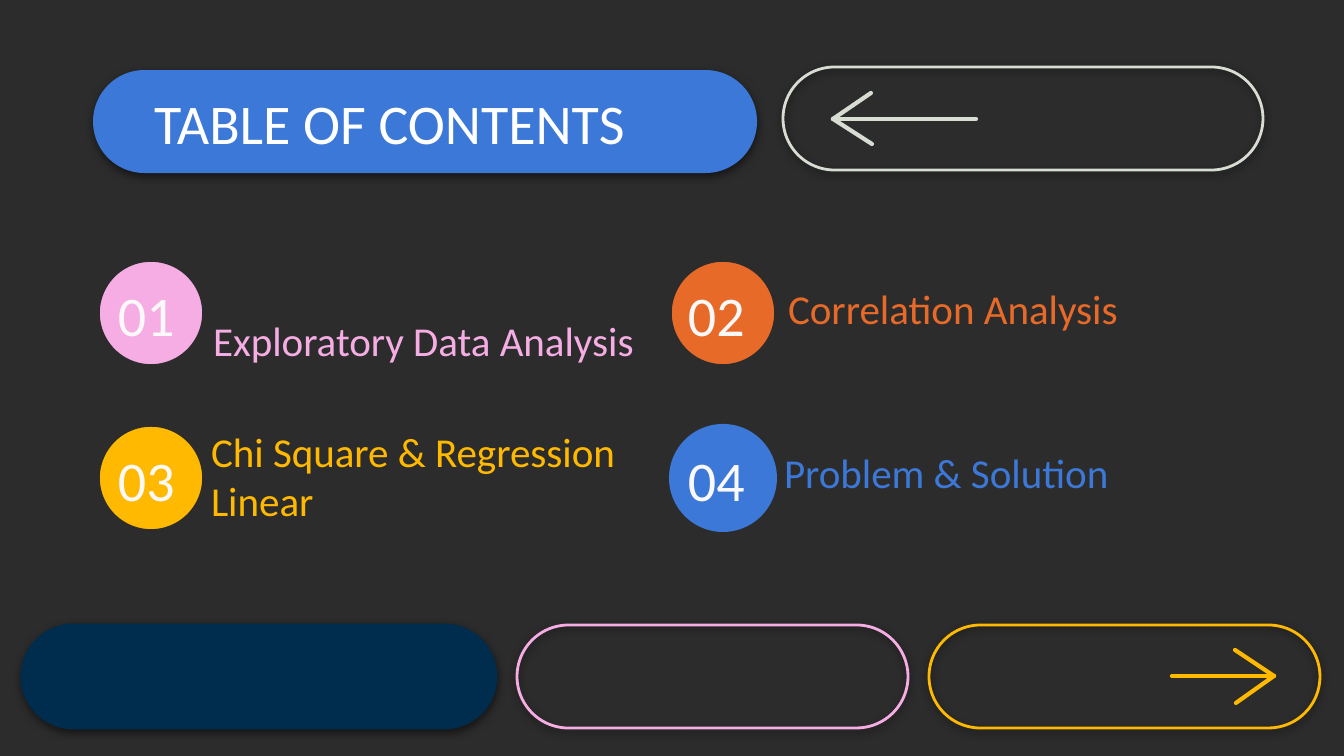
"""Build a dark table of contents slide with numbered topics and pill shapes."""
from dataclasses import dataclass
from typing import Optional

import lxml.etree
import pptx
import pptx.dml.color
import pptx.enum.shapes
import pptx.enum.text
import pptx.oxml.ns
import pptx.util

RGB = pptx.dml.color.RGBColor
SHAPE = pptx.enum.shapes.MSO_SHAPE
ANCHOR = pptx.enum.text.MSO_ANCHOR
qn = pptx.oxml.ns.qn

CHARCOAL = RGB(0x2C, 0x2C, 0x2C)
WHITE = RGB(0xFF, 0xFF, 0xFF)
OFF_WHITE = RGB(0xFA, 0xF8, 0xF8)
BLUE = RGB(0x3C, 0x78, 0xD8)
NAVY = RGB(0x00, 0x2C, 0x4D)
ORANGE = RGB(0xE7, 0x6A, 0x28)
YELLOW = RGB(0xFF, 0xB9, 0x00)
PINK = RGB(0xF5, 0xAD, 0xE4)
SAGE = RGB(0xD7, 0xDD, 0xD2)

EMU_PER_PX = 914400 / 134.4
FONT = "Calibri"
PILL_HEIGHT = 103
CIRCLE_SIZE = 108
COLUMNS = (97, 669)
ROWS = (259, 424)


@dataclass(frozen=True)
class Pill:
    left: int
    top: int
    width: int
    fill: Optional[RGB] = None
    line: Optional[RGB] = None


@dataclass(frozen=True)
class Arrow:
    tail: tuple[int, int]
    tip: tuple[int, int]
    barbs: tuple[tuple[int, int], ...]
    color: RGB


@dataclass(frozen=True)
class Topic:
    text: str
    color: RGB
    left: int
    top: int
    outlined: bool = True


FOOTER_PILLS = (
    Pill(517, 625, 391, line=PINK),
    Pill(929, 625, 391, line=YELLOW),
    Pill(22, 625, 474, fill=NAVY, line=NAVY),
)
TITLE_PILL = Pill(93, 70, 664, fill=BLUE)
BACK_PILL = Pill(783, 67, 480, line=SAGE)
NEXT_ARROW = Arrow((1172, 676), (1274, 676), ((1235, 650), (1236, 703)), YELLOW)
BACK_ARROW = Arrow((976, 119), (833, 119), ((872, 144), (871, 93)), SAGE)
TOPICS = (
    Topic("Exploratory Data Analysis", PINK, 200, 320),
    Topic("Correlation Analysis", ORANGE, 775, 288),
    Topic("Chi Square & Regression Linear", YELLOW, 198, 480),
    Topic("Problem & Solution", BLUE, 771, 452, outlined=False),
)


def px(value: int) -> int:
    return pptx.util.Emu(round(value * EMU_PER_PX))


def box(left: int, top: int, width: int, height: int) -> tuple[int, ...]:
    return px(left), px(top), px(width), px(height)


def add_figure(slide, kind, bounds, fill=None, line=None, weight=1.5):
    figure = slide.shapes.add_shape(kind, *bounds)
    figure.shadow.inherit = False
    if fill is None:
        figure.fill.background()
    else:
        figure.fill.solid()
        figure.fill.fore_color.rgb = fill
    if line is None:
        figure.line.fill.background()
    else:
        figure.line.color.rgb = line
        figure.line.width = pptx.util.Pt(weight)
    return figure


def add_pill(slide, pill: Pill) -> None:
    bounds = box(pill.left, pill.top, pill.width, PILL_HEIGHT)
    figure = add_figure(slide, SHAPE.ROUNDED_RECTANGLE, bounds, pill.fill, pill.line)
    figure.adjustments[0] = 0.5
    effects = figure.element.spPr.find(qn("a:effectLst"))
    shadow = lxml.etree.SubElement(
        effects, qn("a:outerShdw"), blurRad=str(pptx.util.Pt(4.5)),
        dist=str(pptx.util.Pt(1.5)), dir="5400000", algn="bl", rotWithShape="0")
    color = lxml.etree.SubElement(shadow, qn("a:srgbClr"), val="000000")
    lxml.etree.SubElement(color, qn("a:alpha"), val="50000")


def add_arrow(slide, arrow: Arrow) -> None:
    group = slide.shapes.add_group_shape()
    for end in (arrow.tail, *arrow.barbs):
        stroke = group.shapes.add_connector(
            pptx.enum.shapes.MSO_CONNECTOR.STRAIGHT,
            *map(px, arrow.tip), *map(px, end))
        stroke.line.color.rgb = arrow.color
        stroke.line.width = pptx.util.Pt(2.25)
        properties = stroke.element.spPr
        properties.find(qn("a:ln")).set("cap", "rnd")
        lxml.etree.SubElement(properties, qn("a:effectLst"))


def write(holder, text: str, *, bounds, size: int, color: RGB, anchor) -> None:
    holder.left, holder.top, holder.width, holder.height = bounds
    holder.element.getparent().append(holder.element)
    frame = holder.text_frame
    frame.text = text
    frame.word_wrap = True
    frame.auto_size = pptx.enum.text.MSO_AUTO_SIZE.NONE
    frame.vertical_anchor = anchor
    frame.margin_left = frame.margin_right = px(13)
    frame.margin_top = frame.margin_bottom = px(13)
    paragraph = frame.paragraphs[0]
    paragraph.alignment = pptx.enum.text.PP_ALIGN.LEFT
    paragraph.space_before = pptx.util.Pt(0)
    properties = paragraph.runs[0].font
    properties.name, properties.size = FONT, pptx.util.Pt(size)
    properties.bold = False
    properties.color.rgb = color


def remove_bullet(holder) -> None:
    settings = holder.text_frame.paragraphs[0]._p.get_or_add_pPr()
    settings.set("marL", "0")
    settings.set("indent", "0")
    lxml.etree.SubElement(settings, qn("a:buNone"))


def add_topic(slide, holder, index: int, topic: Topic) -> None:
    row, column = divmod(index, 2)
    left, top = COLUMNS[column], ROWS[row]
    add_figure(slide, SHAPE.OVAL, box(left, top, CIRCLE_SIZE, CIRCLE_SIZE),
               topic.color, CHARCOAL if topic.outlined else None, 3)
    number_bounds = box(left + (8, 6)[column], top + 22, 114, 66)
    number = slide.shapes.add_textbox(*number_bounds)
    write(number, f"{index + 1:02}", bounds=number_bounds, size=30,
          color=OFF_WHITE, anchor=ANCHOR.MIDDLE)
    write(holder, topic.text, bounds=box(topic.left, topic.top, 473, 58), size=22,
          color=topic.color, anchor=ANCHOR.BOTTOM)
    remove_bullet(holder)


def main() -> None:
    deck = pptx.Presentation()
    deck.slide_width, deck.slide_height = px(1344), px(756)
    slide = deck.slides.add_slide(deck.slide_layouts.get_by_name("Comparison"))
    slide.background.fill.solid()
    slide.background.fill.fore_color.rgb = CHARCOAL
    title, *topic_holders = list(slide.placeholders)

    for pill in FOOTER_PILLS:
        add_pill(slide, pill)
    add_arrow(slide, NEXT_ARROW)
    add_pill(slide, TITLE_PILL)
    write(title, "TABLE OF CONTENTS", bounds=box(141, 83, 570, 86), size=30,
          color=WHITE, anchor=ANCHOR.BOTTOM)
    for index, (holder, topic) in enumerate(zip(topic_holders, TOPICS)):
        add_topic(slide, holder, index, topic)
    add_pill(slide, BACK_PILL)
    add_arrow(slide, BACK_ARROW)
    deck.save("out.pptx")


if __name__ == "__main__":
    main()
